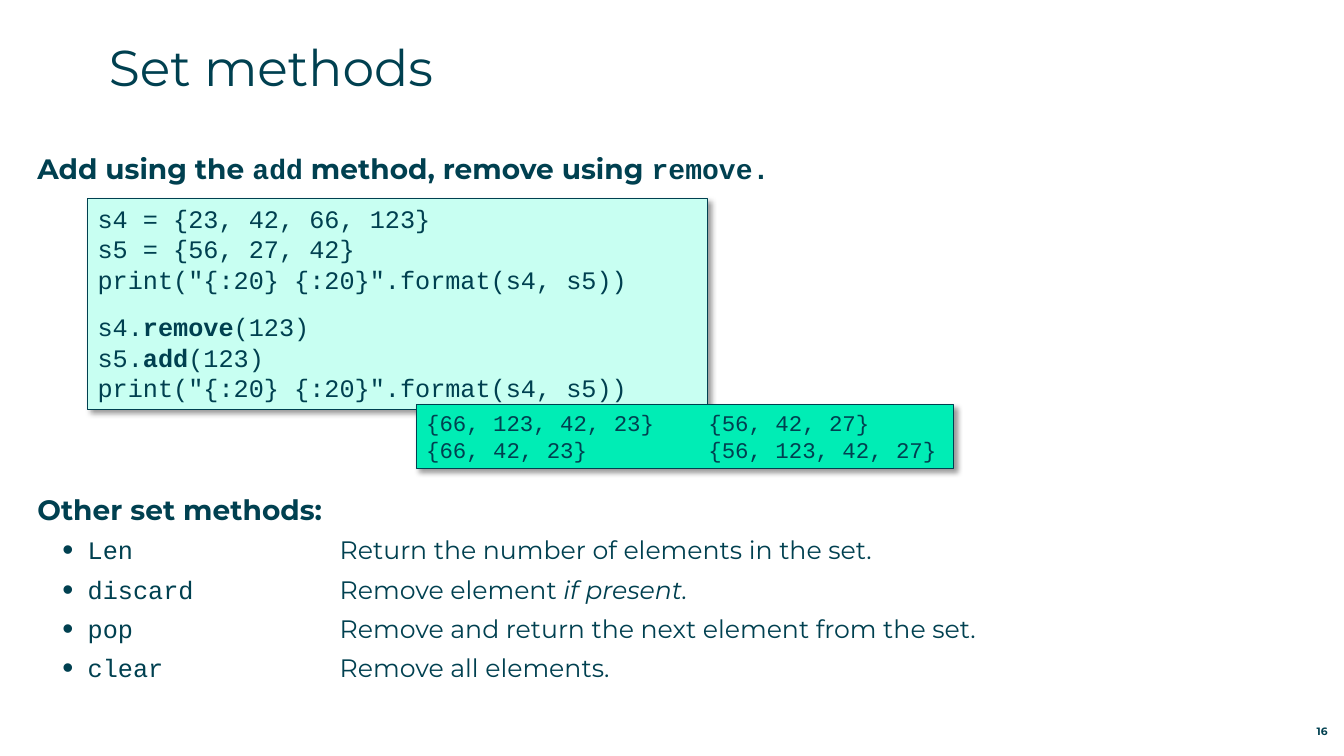
import dataclasses
import typing

import lxml.etree
import pptx
import pptx.dml.color
import pptx.enum.shapes
import pptx.enum.text
import pptx.oxml.ns
import pptx.util

COLS, ROWS = 128, 72
HUES = {"ink": "004050", "code": "C8FFF2", "out": "00EDB5", "shade": "000000"}
SANS, MONO = "Montserrat", "Courier New"
ANCHOR = pptx.enum.text.MSO_ANCHOR
ALIGN = pptx.enum.text.PP_ALIGN

deck = pptx.Presentation()
deck.slide_width = pptx.util.Inches(13.333)
deck.slide_height = pptx.util.Inches(7.5)
slide = deck.slides.add_slide(deck.slide_layouts[1])


@dataclasses.dataclass
class Area:
    """A place on the grid, in columns and rows."""
    left: float
    top: float
    width: float
    height: float

    def emu(self) -> list[int]:
        col, row = deck.slide_width / COLS, deck.slide_height / ROWS
        return [round(self.left * col), round(self.top * row),
                round(self.width * col), round(self.height * row)]


@dataclasses.dataclass
class Run:
    text: str
    font: str = MONO
    bold: bool = False
    slant: bool = False


@dataclasses.dataclass
class Panel:
    """Lines of code or output; without a fill it is a bare text box."""
    area: Area
    size: float
    lines: list[list[Run]]
    fill: str = ""
    gaps: dict[int, float] = dataclasses.field(default_factory=dict)


def color(name: str) -> pptx.dml.color.RGBColor:
    return pptx.dml.color.RGBColor.from_string(HUES[name])


def node(parent: typing.Any, tag: str, **attrs: typing.Any) -> typing.Any:
    """Add an XML child in the drawing namespace."""
    child = lxml.etree.SubElement(parent, pptx.oxml.ns.qn("a:" + tag))
    for key, value in attrs.items():
        child.set(key, str(value))
    return child


def place(shape: typing.Any, area: Area) -> None:
    shape.left, shape.top, shape.width, shape.height = area.emu()


def frame(shape: typing.Any, inset: tuple[float, float] = (0, 0),
          anchor: typing.Any = ANCHOR.TOP) -> typing.Any:
    """Prepare the text frame of a shape and return it."""
    box = shape.text_frame
    box.word_wrap = True
    box.auto_size = pptx.enum.text.MSO_AUTO_SIZE.NONE
    box.vertical_anchor = anchor
    box.margin_left = box.margin_right = pptx.util.Inches(inset[0])
    box.margin_top = box.margin_bottom = pptx.util.Inches(inset[1])
    return box


def write(box: typing.Any, runs: list[Run], size: float, before: float = 0,
          after: float = 0, align: typing.Any = ALIGN.LEFT,
          bullet: bool = False, tab: float = 0) -> None:
    """Write one paragraph, using the first one while it is empty."""
    par = box.paragraphs[0] if not box.text else box.add_paragraph()
    par.alignment = align
    par.space_before = pptx.util.Pt(before)
    par.space_after = pptx.util.Pt(after)
    par.level = int(bullet)
    props = par._p.get_or_add_pPr()
    props.set("marL", str(pptx.util.Inches(0.5 if bullet else 0)))
    props.set("indent", str(pptx.util.Inches(-0.25 if bullet else 0)))
    if bullet:
        node(props, "buSzPct", val=125000)
        node(props, "buFont", typeface="Arial")
        node(props, "buChar", char="•")
    else:
        node(props, "buNone")
    if tab:
        node(node(props, "tabLst"), "tab", pos=pptx.util.Inches(tab), algn="l")
    for item in runs:
        run = par.add_run()
        run.text = item.text
        font = run.font
        font.name, font.size = item.font, pptx.util.Pt(size)
        font.bold, font.italic = item.bold, item.slant
        font.color.rgb = color("ink")


def shade(shape: typing.Any) -> None:
    """Give a shape a soft shadow to the lower right."""
    shape.shadow.inherit = False
    effects = shape._element.spPr.find(pptx.oxml.ns.qn("a:effectLst"))
    outer = node(effects, "outerShdw", blurRad=pptx.util.Pt(4),
                 dist=pptx.util.Pt(3), dir=45 * 60000, algn="tl", rotWithShape=0)
    node(node(outer, "srgbClr", val=HUES["shade"]), "alpha", val=40000)


def draw(panel: Panel) -> None:
    spot = panel.area.emu()
    if panel.fill:
        rect = pptx.enum.shapes.MSO_SHAPE.RECTANGLE
        shape = slide.shapes.add_shape(rect, *spot)
        shape.fill.solid()
        shape.fill.fore_color.rgb = color(panel.fill)
        shape.line.color.rgb = color("ink")
        shape.line.width = pptx.util.Pt(0.75)
        shade(shape)
    else:
        shape = slide.shapes.add_textbox(*spot)
    box = frame(shape, (0.1, 0.05))
    for row, runs in enumerate(panel.lines):
        write(box, runs, panel.size, before=panel.gaps.get(row, 0))


SHOW = [Run('print("{:20} {:20}".format(s4, s5))')]
PANELS = [
    Panel(Area(8.35, 18.91, 59.04, 20.06), 18, [
        [Run("s4 = {23, 42, 66, 123}")],
        [Run("s5 = {56, 27, 42}")],
        SHOW,
        [Run("s4."), Run("remove", bold=True), Run("(123)")],
        [Run("s5."), Run("add", bold=True), Run("(123)")],
        SHOW,
    ], "code", {3: 12.5}),
    Panel(Area(39.65, 38.5, 51.17, 6.14), 16, [
        [Run("{66, 123, 42, 23}")],
        [Run("{66, 42, 23}")],
    ], "out"),
    Panel(Area(66.53, 38.5, 24.29, 6.14), 16, [
        [Run("{56, 42, 27}")],
        [Run("{56, 123, 42, 27}")],
    ]),
]
METHODS = {
    "Len": [Run("Return the number of elements in the set.", SANS)],
    "discard": [Run("Remove element ", SANS), Run("if present.", SANS, slant=True)],
    "pop": [Run("Remove and return the next element from the set.", SANS)],
    "clear": [Run("Remove all elements.", SANS)],
}


def main() -> None:
    title, body = slide.placeholders
    place(title, Area(10.37, 3.46, 120.96, 8.45))
    write(frame(title), [Run("Set methods", SANS)], 36)

    place(body, Area(3.55, 14.4, 120.86, 52.03))
    box = frame(body)
    write(box, [Run("Add using the ", SANS, True), Run("add", bold=True),
                Run(" method, remove using ", SANS, True),
                Run("remove.", bold=True)], 20, after=6.5)
    write(box, [Run("Other set methods:", SANS, True)], 20, before=213, after=6.5)
    for name, about in METHODS.items():
        write(box, [Run(name + "\t"), *about], 18, after=6.5, bullet=True, tab=3)

    for panel in PANELS:
        draw(panel)

    number = slide.shapes.add_textbox(*Area(118.18, 68.35, 8.26, 1.92).emu())
    write(frame(number, anchor=ANCHOR.BOTTOM), [Run("16", SANS, True)], 7.6,
          align=ALIGN.RIGHT)
    deck.save("out.pptx")


if __name__ == "__main__":
    main()
